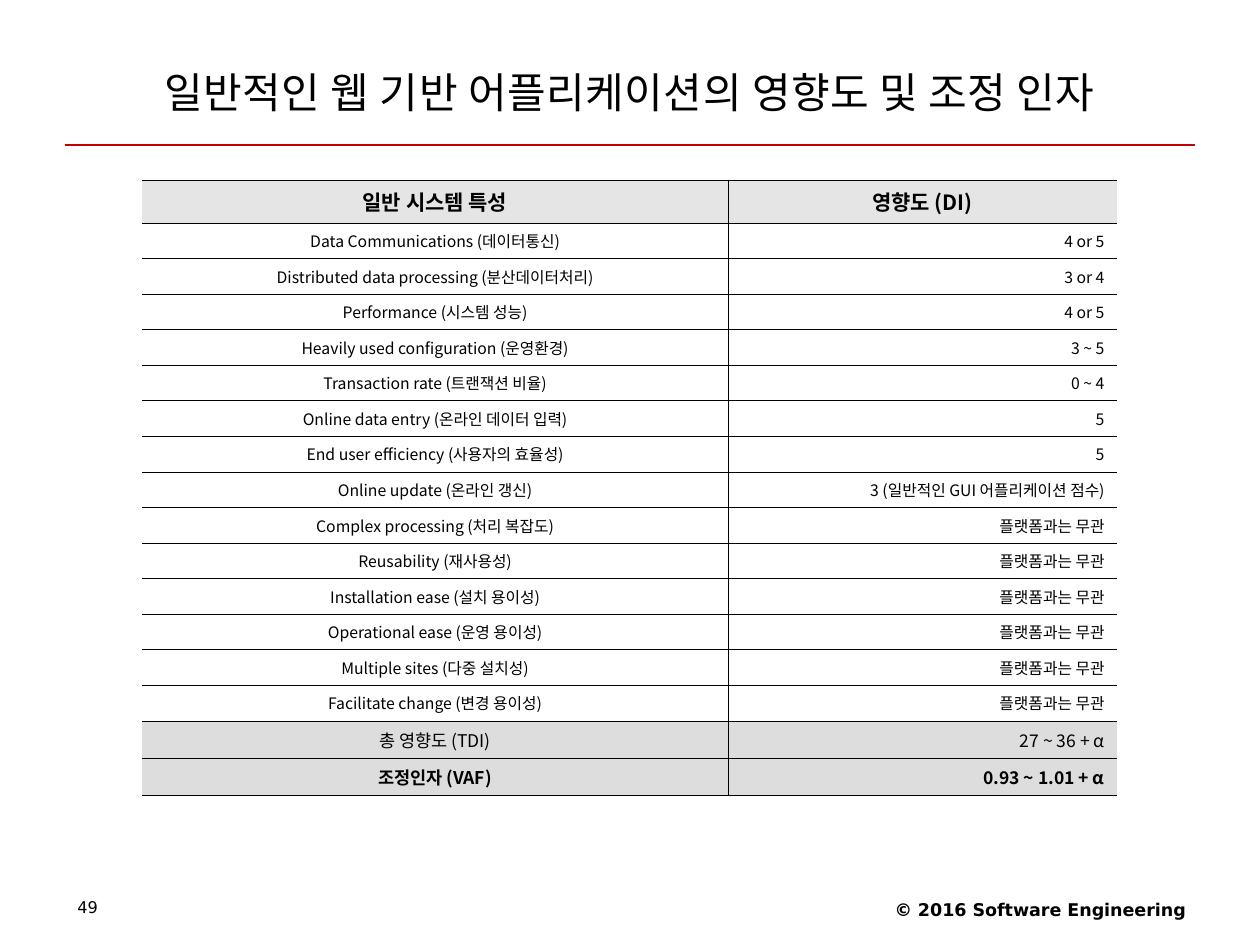
from dataclasses import dataclass

from lxml.etree import SubElement
from pptx import Presentation
from pptx.dml.color import RGBColor
from pptx.enum.shapes import MSO_CONNECTOR as Connector
from pptx.enum.text import MSO_ANCHOR as Anchor, PP_ALIGN as Align
from pptx.oxml.ns import qn
from pptx.util import Pt

PX_PER_INCH = 126


@dataclass(frozen=True)
class Theme:
    ink: str = "000000"
    rule: str = "C40000"
    header_fill: str = "E5E5E5"
    total_fill: str = "DDDDDD"
    body_font: str = "Noto Sans CJK KR"
    footer_font: str = "DejaVu Sans"
    title_size: float = 24
    title_spacing: float = 0.32
    header_size: float = 12
    row_size: float = 9
    total_size: float = 10
    copyright_size: float = 10
    number_size: float = 9.2
    rule_width: float = 0.75
    row_line: float = 0.45
    column_line: float = 0.23


THEME = Theme()

HEADER = ("일반 시스템 특성", "영향도 (DI)")
CHARACTERISTICS = [
    ("Data Communications (데이터통신)", "4 or 5"),
    ("Distributed data processing (분산데이터처리)", "3 or 4"),
    ("Performance (시스템 성능)", "4 or 5"),
    ("Heavily used configuration (운영환경)", "3 ~ 5"),
    ("Transaction rate (트랜잭션 비율)", "0 ~ 4"),
    ("Online data entry (온라인 데이터 입력)", "5"),
    ("End user efficiency (사용자의 효율성)", "5"),
    ("Online update (온라인 갱신)", "3 (일반적인 GUI 어플리케이션 점수)"),
    ("Complex processing (처리 복잡도)", "플랫폼과는 무관"),
    ("Reusability (재사용성)", "플랫폼과는 무관"),
    ("Installation ease (설치 용이성)", "플랫폼과는 무관"),
    ("Operational ease (운영 용이성)", "플랫폼과는 무관"),
    ("Multiple sites (다중 설치성)", "플랫폼과는 무관"),
    ("Facilitate change (변경 용이성)", "플랫폼과는 무관"),
]
TOTAL_INFLUENCE = ("총 영향도 (TDI)", "27 ~ 36 + α")
ADJUSTMENT_FACTOR = ("조정인자 (VAF)", "0.93 ~ 1.01 + α")

COLUMN_WIDTHS = (586, 389)
HEADER_HEIGHT = 43
CHARACTERISTICS_HEIGHT = 498
TOTALS_HEIGHT = 75


def px(length):
    return round(length * 914400 / PX_PER_INCH)


def add_run(paragraph, text, size, font=THEME.body_font, bold=False, spacing=0):
    run = paragraph.add_run()
    run.text = text
    run.font.size = Pt(size)
    run.font.bold = bold
    run.font.name = font
    run.font.color.rgb = RGBColor.from_string(THEME.ink)
    properties = run.font._element
    SubElement(properties, qn("a:ea"), typeface=font)
    if spacing:
        properties.set("spc", str(round(spacing * 100)))


def add_text(slide, box, text, size, align, anchor=Anchor.TOP, **style):
    frame = slide.shapes.add_textbox(*map(px, box)).text_frame
    frame.word_wrap = True
    frame.vertical_anchor = anchor
    paragraph = frame.paragraphs[0]
    paragraph.alignment = align
    add_run(paragraph, text, size, **style)
    return paragraph


def add_rule(slide, left, right, y):
    line = slide.shapes.add_connector(
        Connector.STRAIGHT, px(left), px(y), px(right), px(y))
    line.line.color.rgb = RGBColor.from_string(THEME.rule)
    line.line.width = Pt(THEME.rule_width)
    SubElement(line._element.spPr, qn("a:effectLst"))


def set_border(cell, side, width):
    """Draw one side of a cell; a width of 0 leaves that side open."""
    border = SubElement(cell._tc.get_or_add_tcPr(), qn(f"a:ln{side}"),
                        w=str(Pt(width)))
    if width:
        fill = SubElement(border, qn("a:solidFill"))
        SubElement(fill, qn("a:srgbClr"), val=THEME.ink)
    else:
        SubElement(border, qn("a:noFill"))


def fill_cell(cell, color):
    if color:
        cell.fill.solid()
        cell.fill.fore_color.rgb = RGBColor.from_string(color)
    else:
        cell.fill.background()


def fill_row(row, texts, size, height, value_align=Align.RIGHT, color=None,
             bold=False):
    row.height = px(height)
    inner, outer = THEME.column_line, 0
    sides = ((outer, inner), (inner, outer))
    aligns = (Align.CENTER, value_align)
    for cell, text, align, (left, right) in zip(row.cells, texts, aligns, sides):
        cell.vertical_anchor = Anchor.MIDDLE
        # The schema wants the borders before the fill.
        set_border(cell, "L", left)
        set_border(cell, "R", right)
        set_border(cell, "T", THEME.row_line)
        set_border(cell, "B", THEME.row_line)
        fill_cell(cell, color)
        paragraph = cell.text_frame.paragraphs[0]
        paragraph.alignment = align
        add_run(paragraph, text, size, bold=bold)


def add_influence_table(slide, left, top):
    row_count = len(CHARACTERISTICS) + 3
    height = HEADER_HEIGHT + CHARACTERISTICS_HEIGHT + TOTALS_HEIGHT
    box = (left, top, sum(COLUMN_WIDTHS), height)
    table = slide.shapes.add_table(
        row_count, len(COLUMN_WIDTHS), *map(px, box)).table
    table.first_row = table.horz_banding = False
    for column, width in zip(table.columns, COLUMN_WIDTHS):
        column.width = px(width)

    header, *rows, total, factor = table.rows
    fill_row(header, HEADER, THEME.header_size, HEADER_HEIGHT,
             value_align=Align.CENTER, color=THEME.header_fill, bold=True)
    for row, texts in zip(rows, CHARACTERISTICS):
        fill_row(row, texts, THEME.row_size, CHARACTERISTICS_HEIGHT / len(rows))
    fill_row(total, TOTAL_INFLUENCE, THEME.total_size, TOTALS_HEIGHT / 2,
             color=THEME.total_fill)
    fill_row(factor, ADJUSTMENT_FACTOR, THEME.total_size, TOTALS_HEIGHT / 2,
             color=THEME.total_fill, bold=True)


def main():
    presentation = Presentation()
    presentation.slide_width = px(1260)
    presentation.slide_height = px(945)
    slide = presentation.slides.add_slide(presentation.slide_layouts[6])

    add_rule(slide, 65, 1195, 145)
    add_text(slide, (799, 893, 399, 37), "© 2016 Software Engineering",
             THEME.copyright_size, Align.RIGHT, font=THEME.footer_font, bold=True)
    number = add_text(slide, (65, 893, 294, 35), "49", THEME.number_size,
                      Align.LEFT, font=THEME.footer_font)
    number.line_spacing = 0.9
    add_text(slide, (63, 38, 1134, 107),
             "일반적인 웹 기반 어플리케이션의 영향도 및 조정 인자",
             THEME.title_size, Align.CENTER, Anchor.MIDDLE,
             spacing=THEME.title_spacing)
    add_influence_table(slide, 142, 180)

    presentation.save("out.pptx")


if __name__ == "__main__":
    main()
